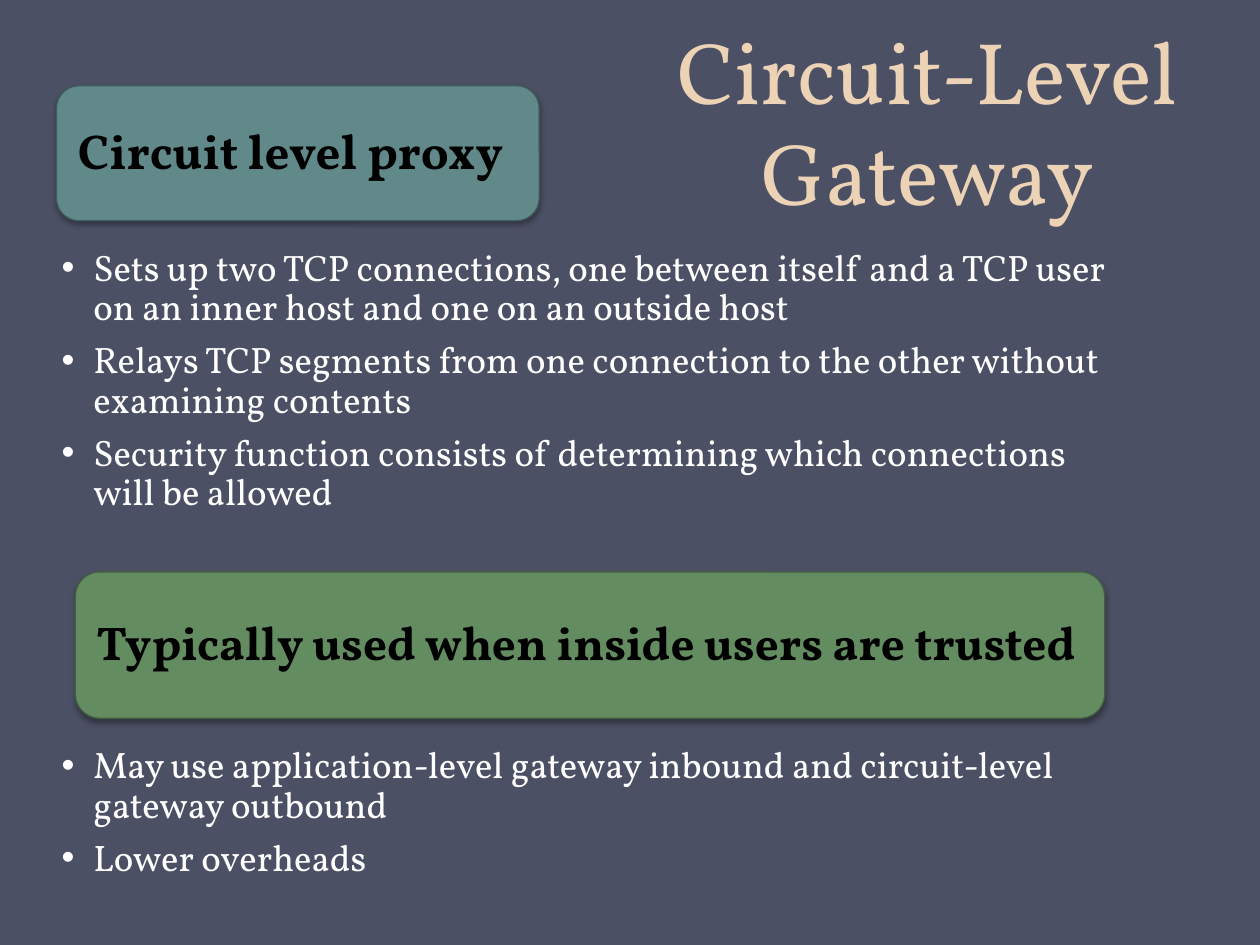
from lxml import etree
from pptx import Presentation
from pptx.dml.color import RGBColor
from pptx.enum.shapes import MSO_SHAPE
from pptx.enum.text import MSO_ANCHOR, MSO_AUTO_SIZE, PP_ALIGN
from pptx.oxml.ns import qn
from pptx.util import Cm, Pt

ROUNDED = MSO_SHAPE.ROUNDED_RECTANGLE
TOP, MIDDLE, BOTTOM = MSO_ANCHOR.TOP, MSO_ANCHOR.MIDDLE, MSO_ANCHOR.BOTTOM
LEFT, CENTER = PP_ALIGN.LEFT, PP_ALIGN.CENTER
NO_AUTOFIT = MSO_AUTO_SIZE.NONE

FONT = "Vollkorn"
SLATE = RGBColor(0x4B, 0x50, 0x64)
SAND = RGBColor(0xED, 0xD3, 0xB6)
WHITE = RGBColor(0xFF, 0xFF, 0xFF)
BLACK = RGBColor(0x00, 0x00, 0x00)
TEAL = RGBColor(0x61, 0x89, 0x8A)
DARK_TEAL = RGBColor(0x41, 0x5B, 0x5C)
GREEN = RGBColor(0x64, 0x8C, 0x61)
DARK_GREEN = RGBColor(0x43, 0x5E, 0x40)

PROXY_POINTS = [
    "Sets up two TCP connections, one between itself and a TCP user "
    "on an inner host and one on an outside host",
    "Relays TCP segments from one connection to the other without "
    "examining contents",
    "Security function consists of determining which connections "
    "will be allowed",
]
TRUSTED_POINTS = [
    "May use application-level gateway inbound and circuit-level "
    "gateway outbound",
    "Lower overheads",
]


def place(s, left, top, width, height):
    s.left, s.top, s.width, s.height = Cm(left), Cm(top), Cm(width), Cm(height)


def add_bullet(p):
    pPr = p._p.get_or_add_pPr()
    pPr.set("marL", str(Cm(0.64)))
    pPr.set("indent", str(-Cm(0.64)))
    etree.SubElement(pPr, qn("a:buFont"), typeface="Arial")
    etree.SubElement(pPr, qn("a:buChar"), char="•")


def write(s, lines, size, color, bold=False, bullet=False, align=LEFT,
          anchor=TOP, spacing=0.9, after=0, insets=(0.25, 0.13, 0.25, 0.13)):
    """Fill a shape with one paragraph per line; insets are left, top, right, bottom in cm."""
    tf = s.text_frame
    tf.word_wrap = True
    tf.auto_size = NO_AUTOFIT
    tf.vertical_anchor = anchor
    (tf.margin_left, tf.margin_top,
     tf.margin_right, tf.margin_bottom) = map(Cm, insets)
    for i, line in enumerate(lines):
        p = tf.add_paragraph() if i else tf.paragraphs[0]
        if bullet:
            p.level = 1
            add_bullet(p)
        p.alignment = align
        p.line_spacing = spacing
        p.space_before = Pt(0)
        p.space_after = Pt(after)
        r = p.add_run()
        r.text = line
        r.font.name = FONT
        r.font.size = Pt(size)
        r.font.bold = bold
        r.font.color.rgb = color


def add_shadow(s):
    effects = etree.SubElement(s._element.spPr, qn("a:effectLst"))
    shadow = etree.SubElement(
        effects, qn("a:outerShdw"), blurRad=str(Pt(3.1)), dist=str(Pt(1.8)),
        dir="5400000", rotWithShape="0")
    black = etree.SubElement(shadow, qn("a:srgbClr"), val="000000")
    etree.SubElement(black, qn("a:alpha"), val="35000")


def add_banner(slide, text, box, fill, line, size, inset):
    s = slide.shapes.add_shape(ROUNDED, *map(Cm, box))
    s.fill.solid()
    s.fill.fore_color.rgb = fill
    s.line.color.rgb = line
    s.line.width = Pt(0.75)
    add_shadow(s)
    write(s, [text], size, BLACK, bold=True, anchor=MIDDLE,
          insets=(inset,) * 4)


def fill_list(s, points, top, height):
    place(s, 0.51, top, 22.86, height)
    write(s, points, 21, WHITE, bullet=True, after=7.5,
          insets=(0.73, 0.1, 0.53, 0.1))


def main():
    prs = Presentation()
    prs.slide_width, prs.slide_height = Cm(25.4), Cm(19.05)
    slide = prs.slides.add_slide(prs.slide_layouts.get_by_name("Two Content"))
    slide.background.fill.solid()
    slide.background.fill.fore_color.rgb = SLATE

    title, proxy_list, trusted_list = slide.placeholders
    place(title, 11.96, -1.14, 13.49, 5.77)
    write(title, ["Circuit-Level Gateway"], 50, SAND, align=CENTER,
          anchor=BOTTOM, spacing=Pt(58))

    add_banner(slide, "Circuit level proxy", (1.14, 1.73, 9.73, 2.72),
               TEAL, DARK_TEAL, 28, 0.3)
    fill_list(proxy_list, PROXY_POINTS, 4.93, 7.47)

    add_banner(slide, "Typically used when inside users are trusted",
               (1.52, 11.53, 20.75, 2.95), GREEN, DARK_GREEN, 27, 0.28)
    fill_list(trusted_list, TRUSTED_POINTS, 14.96, 3.78)

    prs.save("out.pptx")


if __name__ == "__main__":
    main()
